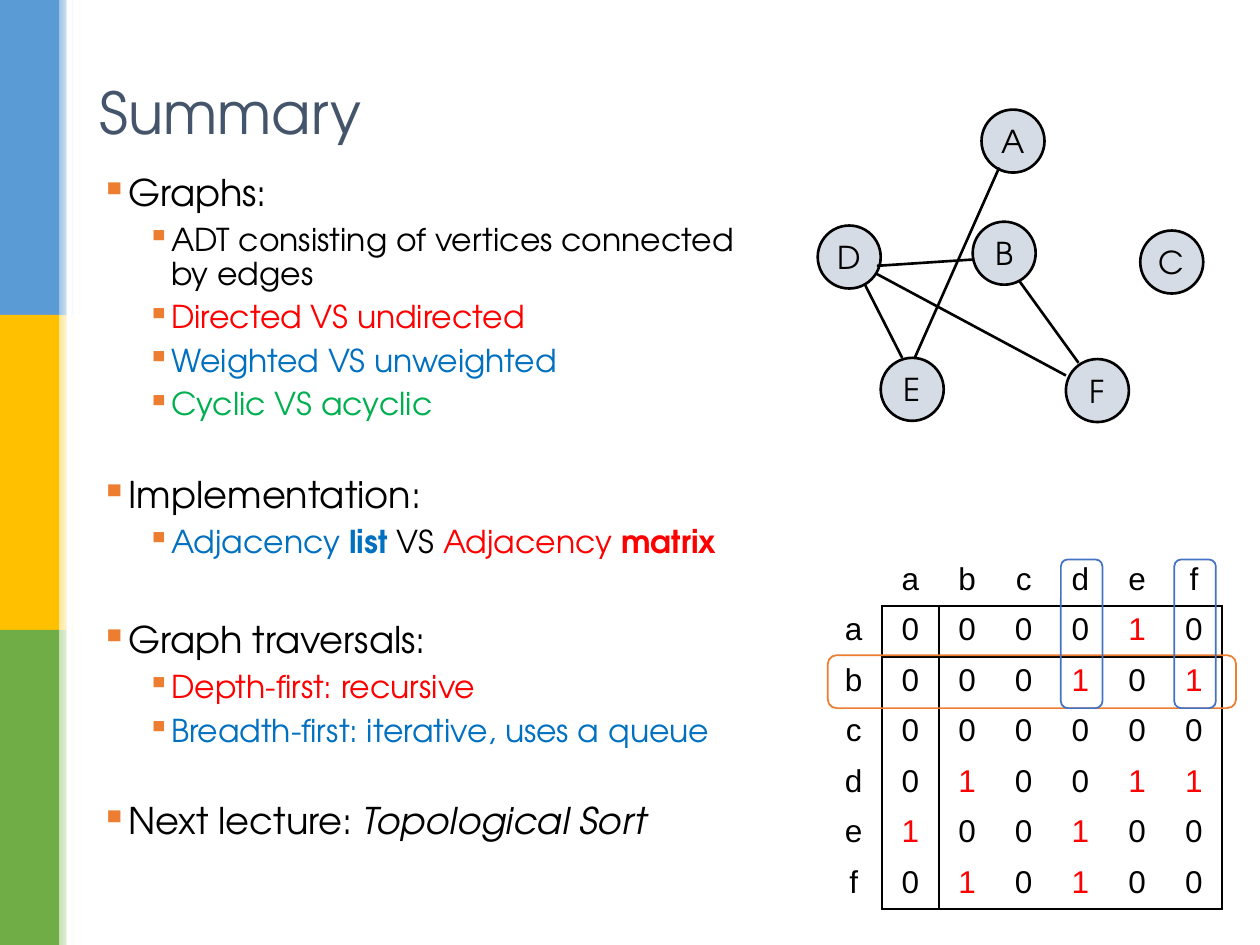
from lxml.etree import SubElement
from pptx import Presentation
from pptx.dml.color import RGBColor
from pptx.enum.shapes import MSO_CONNECTOR, MSO_SHAPE
from pptx.enum.text import MSO_ANCHOR, PP_ALIGN
from pptx.oxml.ns import qn
from pptx.util import Emu, Inches, Pt

FONT, MATRIX_FONT = "TeX Gyre Adventor", "Arial"
COLORS = {
    "black": "000000", "white": "FFFFFF", "title": "44546A", "node": "D6DCE5",
    "red": "FF0000", "blue": "0070C0", "green": "00B050",
    "orange": "ED7D31", "outline": "4472C4",
}
BANDS = [("5B9BD5", "9DC3E6"), ("FFC000", "FFE699"), ("70AD47", "C5E0B4")]

TITLE = "Summary"
OUTLINE = [
    (0, 0, [("Graphs:", "black", "")]),
    (1, 5.4, [("ADT consisting of vertices connected\nby edges", "black", "")]),
    (1, 5.4, [("Directed VS undirected", "red", "")]),
    (1, 5.4, [("Weighted VS unweighted", "blue", "")]),
    (1, 5.4, [("Cyclic VS acyclic", "green", "")]),
    (0, 31.1, [("Implementation:", "black", "")]),
    (1, 5.4, [("Adjacency ", "blue", ""), ("list ", "blue", "bold"), ("VS ", "black", ""),
              ("Adjacency ", "red", ""), ("matrix", "red", "bold")]),
    (0, 35.3, [("Graph traversals:", "black", "")]),
    (1, 5.4, [("Depth-first: recursive", "red", "")]),
    (1, 5.4, [("Breadth-first: iterative, uses a queue", "blue", "")]),
    (0, 31.1, [("Next lecture: ", "black", ""), ("Topological Sort", "black", "italic")]),
]
LEVELS = [(21, 0.19), (18, 0.56)]
HANGING = 0.19

VERTICES = {
    "A": (7.79, 0.87), "B": (7.72, 1.76), "C": (9.05, 1.83),
    "D": (6.49, 1.79), "E": (6.99, 2.84), "F": (8.46, 2.85),
}
NODE_SIZE = 0.5
EDGES = {
    "BD": ((7.72, 2.06), (6.96, 2.11)),
    "DE": ((6.86, 2.25), (7.16, 2.84)),
    "BF": ((8.56, 2.88), (8.09, 2.23)),
    "DF": ((6.95, 2.17), (8.46, 2.98)),
    "AE": ((7.93, 1.33), (7.26, 2.84)),
}

MATRIX_LEFT, MATRIX_TOP, COLUMN, ROW = 6.55, 4.41, 0.45, 0.4
NO_STYLE = "{2D5ABB26-0587-4C30-8999-92F81FD0307C}"


def color(name):
    return RGBColor.from_string(COLORS.get(name, name))


def style(run, size, tint, font=FONT):
    run.font.name, run.font.size = font, Pt(size)
    run.font.color.rgb = color(tint)


def add_box(slide, kind, left, top, width, height, fill=None, line=None, weight=1):
    box = slide.shapes.add_shape(kind, *map(Inches, (left, top, width, height)))
    box.shadow.inherit = False
    if fill:
        box.fill.solid()
        box.fill.fore_color.rgb = color(fill)
    else:
        box.fill.background()
    if line:
        box.line.color.rgb = color(line)
        box.line.width = Pt(weight)
    else:
        box.line.fill.background()
    return box


def add_sidebar(slide):
    height = 7.5 / len(BANDS)
    for index, (solid, pale) in enumerate(BANDS):
        add_box(slide, MSO_SHAPE.RECTANGLE, 0, index * height, 0.47, height, solid)
        fade = add_box(slide, MSO_SHAPE.RECTANGLE, 0.47, index * height, 0.12, height)
        fade.fill.gradient()
        fade.fill.gradient_angle = 0
        for stop, tint, position in zip(fade.fill.gradient_stops, (pale, "white"), (0, 1)):
            stop.color.rgb = color(tint)
            stop.position = position
    add_box(slide, MSO_SHAPE.RECTANGLE, 0.53, 0, 0.04, 7.5, "white")


def add_title(slide):
    title = slide.shapes.title
    title.left, title.top, title.width, title.height = map(Inches, (0.69, 0.4, 8.62, 0.97))
    title.text_frame.text = TITLE
    title.text_frame.vertical_anchor = MSO_ANCHOR.MIDDLE
    heading = title.text_frame.paragraphs[0]
    heading.alignment = PP_ALIGN.LEFT
    style(heading.runs[0], 33, "title")


def add_bullet(paragraph, margin):
    properties = paragraph._p.get_or_add_pPr()
    properties.set("marL", str(Inches(margin)))
    properties.set("indent", str(-Inches(HANGING)))
    bullet_color = SubElement(properties, qn("a:buClr"))
    SubElement(bullet_color, qn("a:srgbClr"), val=COLORS["orange"])
    SubElement(properties, qn("a:buChar"), char="▪")


def add_outline(slide):
    frame = slide.shapes.add_textbox(*map(Inches, (0.7, 1.34, 8.62, 5.94))).text_frame
    frame.word_wrap = True
    for index, (level, gap, pieces) in enumerate(OUTLINE):
        paragraph = frame.add_paragraph() if index else frame.paragraphs[0]
        size, margin = LEVELS[level]
        paragraph.level = level
        add_bullet(paragraph, margin)
        paragraph.line_spacing = 0.9
        paragraph.space_before = Pt(gap)
        for words, tint, emphasis in pieces:
            for part, line in enumerate(words.split("\n")):
                if part:
                    paragraph.add_line_break()
                run = paragraph.add_run()
                run.text = line
                style(run, size, tint)
                run.font.bold = emphasis == "bold"
                run.font.italic = emphasis == "italic"


def add_graph(slide):
    for vertex, (left, top) in VERTICES.items():
        node = add_box(slide, MSO_SHAPE.OVAL, left, top, NODE_SIZE, NODE_SIZE,
                       "node", "black", 1.5)
        node.text_frame.text = vertex
        node.text_frame.word_wrap = False
        node.text_frame.vertical_anchor = MSO_ANCHOR.MIDDLE
        label = node.text_frame.paragraphs[0]
        label.alignment = PP_ALIGN.CENTER
        style(label.runs[0], 18, "black")
    for start, end in EDGES.values():
        edge = slide.shapes.add_connector(MSO_CONNECTOR.STRAIGHT, *map(Inches, start + end))
        edge.line.color.rgb = color("black")
        edge.line.width = Pt(1.5)
        SubElement(edge._element.spPr, qn("a:effectLst"))


def add_borders(cell, sides):
    properties = cell._tc.get_or_add_tcPr()
    for side in sides:
        border = SubElement(properties, qn(f"a:ln{side}"), w=str(Pt(1.5)))
        fill = SubElement(border, qn("a:solidFill"))
        SubElement(fill, qn("a:srgbClr"), val=COLORS["black"])


def cell_sides(row, column, last):
    sides = {
        "L": column == 1 and row > 0,
        "R": column in (0, last) and row > 0,
        "T": row == 1 and column > 0,
        "B": row in (0, last) and column > 0,
    }
    return [side for side, drawn in sides.items() if drawn]


def add_matrix(slide):
    names = list(VERTICES)
    count = len(names) + 1
    header = [""] + [name.lower() for name in names]
    rows = [header] + [
        [a.lower()] + ["1" if a + b in EDGES or b + a in EDGES else "0" for b in names]
        for a in names
    ]
    table = slide.shapes.add_table(count, count, *map(Inches, (
        MATRIX_LEFT, MATRIX_TOP, count * COLUMN, count * ROW))).table
    table.first_row = table.horz_banding = False
    table._tbl.tblPr.find(qn("a:tableStyleId")).text = NO_STYLE
    for index in range(count):
        table.columns[index].width = Inches(COLUMN)
        table.rows[index].height = Inches(ROW)
    for row, values in enumerate(rows):
        for column, value in enumerate(values):
            cell = table.cell(row, column)
            add_borders(cell, cell_sides(row, column, count - 1))
            cell.fill.background()
            cell.text_frame.text = value
            entry = cell.text_frame.paragraphs[0]
            entry.alignment = PP_ALIGN.CENTER
            for run in entry.runs:
                style(run, 18, "red" if value == "1" else "black", MATRIX_FONT)

    add_box(slide, MSO_SHAPE.ROUNDED_RECTANGLE, MATRIX_LEFT + 0.02, MATRIX_TOP + 2 * ROW - 0.01,
            3.24, 0.42, line="orange")
    for name in "DF":
        column = names.index(name) + 1
        add_box(slide, MSO_SHAPE.ROUNDED_RECTANGLE, MATRIX_LEFT + column * COLUMN + 0.07,
                MATRIX_TOP + 0.03, 0.33, 1.18, line="outline")


def main():
    deck = Presentation()
    deck.slide_width, deck.slide_height = Inches(10), Inches(7.5)
    slide = deck.slides.add_slide(deck.slide_layouts[5])
    add_sidebar(slide)
    add_title(slide)
    add_outline(slide)
    add_graph(slide)
    add_matrix(slide)
    deck.save("out.pptx")


if __name__ == "__main__":
    main()
